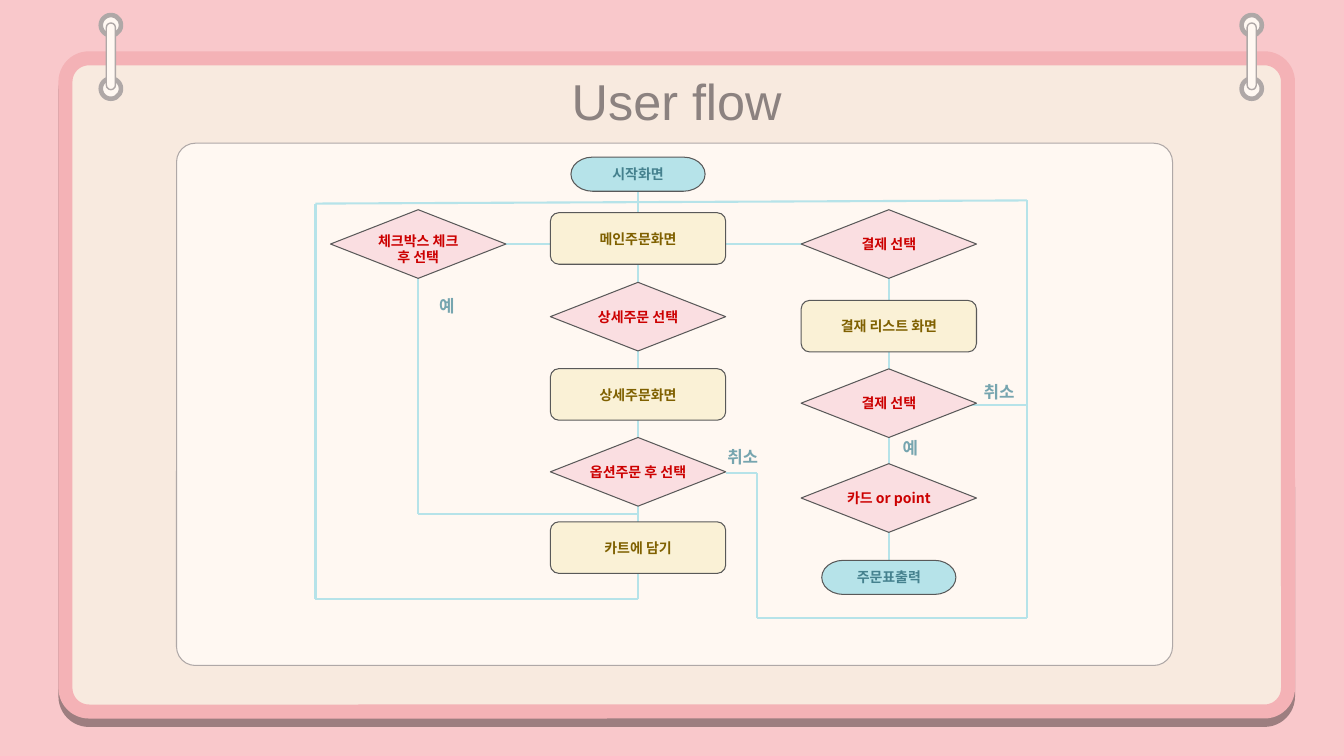
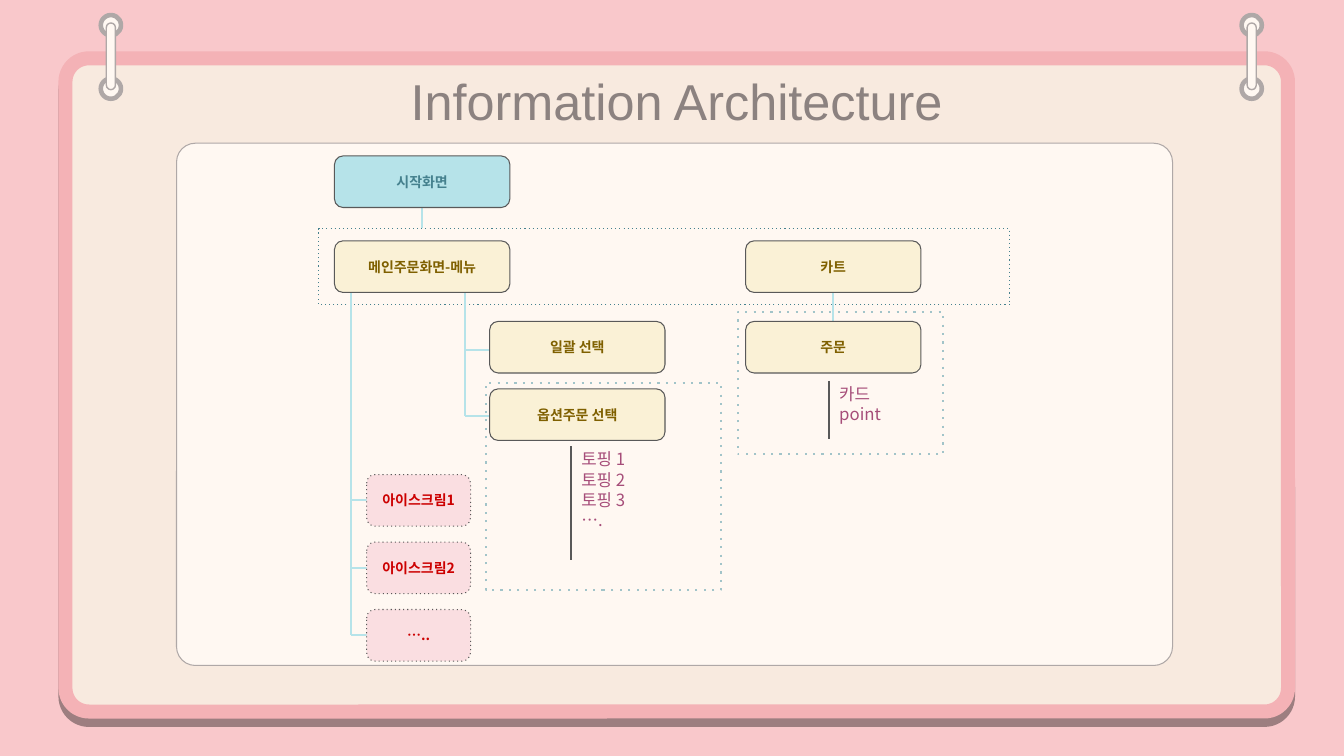
from dataclasses import dataclass
from itertools import pairwise

from lxml.etree import SubElement
from pptx import Presentation
from pptx.dml.color import RGBColor
from pptx.enum.dml import MSO_LINE
from pptx.enum.shapes import MSO_CONNECTOR, MSO_SHAPE
from pptx.enum.text import MSO_ANCHOR, PP_ALIGN
from pptx.oxml.ns import qn
from pptx.util import Cm, Pt


@dataclass(frozen=True)
class Theme:
    # Colours
    backdrop: str = "F9C8CB"
    card: str = "F8EADF"
    card_edge: str = "F4B2B6"
    panel: str = "FFF8F2"
    panel_edge: str = "AFA8A7"
    title: str = "8C8280"
    flow: str = "B6E3E9"
    outline: str = "595959"
    label: str = "76A5AF"
    note: str = "A64D79"
    zone: str = "45818E"
    subzone: str = "A2C4C9"
    # Fonts and sizes in points
    title_font: str = "Arial"
    body_font: str = "Noto Sans CJK KR"
    title_size: float = 36
    node_size: float = 10
    label_size: float = 12
    flow_width: float = 1.5
    thin: float = 0.75


T = Theme()

# Node kinds: shape, width, height (cm), fill, text colour, dotted outline
KINDS = {
    "terminal": (MSO_SHAPE.FLOWCHART_TERMINATOR, 3.38, 0.86, T.flow, T.zone, False),
    "root": (MSO_SHAPE.ROUNDED_RECTANGLE, 4.42, 1.3, T.flow, T.zone, False),
    "screen": (MSO_SHAPE.ROUNDED_RECTANGLE, 4.42, 1.3, "FAF1D6", "7F6000", False),
    "choice": (MSO_SHAPE.DIAMOND, 4.42, 1.73, "FADEE1", "CC0000", False),
    "item": (MSO_SHAPE.ROUNDED_RECTANGLE, 2.62, 1.3, "FADEE1", "CC0000", True),
}


def apply(obj, formats):
    for name, value in formats.items():
        setattr(obj, name, value)


def write(sp, text, font, size, color, bold=False, align=PP_ALIGN.CENTER, **frame):
    """Write one paragraph per line of text."""
    tf = sp.text_frame
    apply(tf, frame)
    for i, line in enumerate(text.split("\n")):
        p = tf.paragraphs[0] if i == 0 else tf.add_paragraph()
        p.alignment = align
        r = p.add_run()
        r.text = line
        apply(r.font, {"name": font, "size": Pt(size), "bold": bold})
        r.font.color.rgb = RGBColor.from_string(color)
        SubElement(r.font._element, qn("a:ea"), typeface=font)


def add_box(slide, kind, box, fill, edge, width, adj=None, dotted=False):
    sp = slide.shapes.add_shape(kind, *map(Cm, box))
    sp.shadow.inherit = False
    if fill:
        sp.fill.solid()
        sp.fill.fore_color.rgb = RGBColor.from_string(fill)
    else:
        sp.fill.background()
    sp.line.color.rgb = RGBColor.from_string(edge)
    sp.line.width = Pt(width)
    if adj is not None:
        sp.adjustments[0] = adj
    if dotted:
        sp.line.dash_style = MSO_LINE.ROUND_DOT
        sp.element.spPr.find(".//" + qn("a:prstDash")).set("val", "dot")
    return sp


def add_path(slide, *points, color=T.flow):
    """Join the points with straight lines."""
    for start, end in pairwise(points):
        line = slide.shapes.add_connector(
            MSO_CONNECTOR.STRAIGHT, *map(Cm, (*start, *end)))
        line.line.color.rgb = RGBColor.from_string(color)
        line.line.width = Pt(T.flow_width)
        SubElement(line._element.spPr, qn("a:effectLst"))


def add_node(slide, kind, x, y, text, drop=0):
    """Place a node by its centre; drop is extra space above the text."""
    shape, w, h, fill, color, dotted = KINDS[kind]
    sp = add_box(slide, shape, (x - w / 2, y - h / 2, w, h),
                 fill, T.outline, T.thin, dotted=dotted)
    write(sp, text, T.body_font, T.node_size, color, bold=True, word_wrap=False,
          vertical_anchor=MSO_ANCHOR.MIDDLE, margin_left=0, margin_right=0,
          margin_top=Cm(drop), margin_bottom=0)


def add_text(slide, box, text, color, bold=False):
    inset = Cm(0.25)
    sp = slide.shapes.add_textbox(*map(Cm, box))
    write(sp, text, T.body_font, T.label_size, color, bold, PP_ALIGN.LEFT,
          word_wrap=True, margin_left=inset, margin_right=inset,
          margin_top=inset, margin_bottom=inset)


def add_label(slide, x, y, text):
    add_text(slide, (x, y, 1.5, 1), text, T.label, bold=True)


def add_note(slide, x, y, length, text):
    """List of details beside a vertical bar."""
    add_text(slide, (x, y - 0.18, 4.27, 2.03), text, T.note)
    add_path(slide, (x, y), (x, y + length), color=T.outline)


def add_zone(slide, box, color, width):
    add_box(slide, MSO_SHAPE.RECTANGLE, box, None, color, width, dotted=True)


def add_ring_pair(slide, x):
    for y in (1.98, 0.38):
        add_box(slide, MSO_SHAPE.OVAL, (x, y, 0.51, 0.51),
                T.panel, T.panel_edge, 3.25)
    add_box(slide, MSO_SHAPE.ROUNDED_RECTANGLE, (x + 0.14, 0.58, 0.23, 1.68),
            T.panel, T.panel_edge, 1, adj=0.5)


def add_board(prs, title):
    """New slide with the hanging card, its title and the inner panel."""
    slide = prs.slides.add_slide(prs.slide_layouts[6])
    slide.background.fill.solid()
    slide.background.fill.fore_color.rgb = RGBColor.from_string(T.backdrop)
    card = add_box(slide, MSO_SHAPE.ROUNDED_RECTANGLE, (1.65, 1.47, 30.81, 16.46),
                   T.card, T.card_edge, 10, adj=0.036)
    write(card, title, T.title_font, T.title_size, T.title,
          vertical_anchor=MSO_ANCHOR.TOP)
    # Hard shadow straight below the card
    shadow = SubElement(card.element.spPr.find(qn("a:effectLst")), qn("a:outerShdw"),
                        blurRad="0", dist=str(Pt(6)), dir="5400000",
                        algn="t", rotWithShape="0")
    black = SubElement(shadow, qn("a:srgbClr"), val="000000")
    SubElement(black, qn("a:alpha"), val="36000")
    add_box(slide, MSO_SHAPE.ROUNDED_RECTANGLE, (4.45, 3.61, 25.1, 13.16),
            T.panel, T.panel_edge, T.thin, adj=0.036)
    for x in (2.54, 31.29):
        add_ring_pair(slide, x)
    return slide


def build_user_flow(prs):
    slide = add_board(prs, "User flow")
    left, mid, right = 10.54, 16.08, 22.4
    loop_left, loop_right, cancel = 7.95, 25.88, 19.08

    # Flow lines
    add_path(slide, (mid, 4.83), (mid, 15.09), (loop_left, 15.09),
             (loop_left, 5.13), (loop_right, 5.05), (loop_right, 15.57),
             (cancel, 15.57), (cancel, 11.91), (18.29, 11.91))
    add_path(slide, (left, 6.81), (left, 12.95), (mid, 12.95))
    add_path(slide, (left, 6.15), (right, 6.15), (right, 14.22))
    add_path(slide, (right, 10.21), (loop_right, 10.21))

    # Nodes, column by column
    add_node(slide, "choice", left, 6.15, "체크박스 체크\n후 선택", drop=0.25)
    for x, nodes in (
        (mid, (("terminal", 4.39, "시작화면"),
               ("screen", 6.01, "메인주문화면"),
               ("choice", 7.98, "상세주문 선택"),
               ("screen", 9.94, "상세주문화면"),
               ("choice", 11.89, "옵션주문 후 선택"),
               ("screen", 13.8, "카트에 담기"))),
        (right, (("choice", 6.15, "결제 선택"),
                 ("screen", 8.22, "결재 리스트 화면"),
                 ("choice", 10.16, "결제 선택"),
                 ("choice", 12.55, "카드 or point"),
                 ("terminal", 14.55, "주문표출력"))),
    ):
        for kind, y, text in nodes:
            add_node(slide, kind, x, y, text)

    # Branch labels
    for x, y, text in ((24.54, 9.37, "취소"), (18.08, 11.02, "취소"),
                       (10.82, 7.19, "예"), (22.5, 10.77, "예")):
        add_label(slide, x, y, text)


def build_architecture(prs):
    slide = add_board(prs, "Information Architecture")
    main, option, cart = 10.64, 14.55, 21
    top, sub, detail = 6.72, 8.75, 10.45
    items = [(12.61 + 1.7 * i, text)
             for i, text in enumerate(("아이스크림1", "아이스크림2", "….."))]

    # Dotted zones
    add_zone(slide, (8.03, 5.77, 17.42, 1.91), T.zone, T.thin)
    add_zone(slide, (12.24, 9.65, 5.94, 5.21), T.subzone, 1.5)
    add_zone(slide, (18.59, 7.87, 5.18, 3.58), T.subzone, 1.5)

    # Tree lines
    add_path(slide, (main, 4.57), (main, 5.74))
    add_path(slide, (cart, top), (cart, sub))
    for trunk, end, rows in ((11.71, 13.06, (8.81, 10.49)),
                             (8.84, 9.86, [y for y, _ in items])):
        add_path(slide, (trunk, 7.3), (trunk, rows[-1]))
        for y in rows:
            add_path(slide, (trunk, y), (end, y))

    # Screens and items
    add_node(slide, "root", main, 4.58, "시작화면")
    for x, y, text in ((main, top, "메인주문화면-메뉴"), (cart, top, "카트"),
                       (option, sub, "일괄 선택"), (cart, sub, "주문"),
                       (option, detail, "옵션주문 선택")):
        add_node(slide, "screen", x, y, text)
    for y, text in items:
        add_node(slide, "item", 10.55, y, text)

    # Details
    add_note(slide, 14.4, 11.25, 2.85, "토핑 1\n토핑 2\n토핑 3\n….")
    add_note(slide, 20.9, 9.6, 1.47, "카드\npoint")


def main():
    prs = Presentation()
    apply(prs, {"slide_width": Cm(33.87), "slide_height": Cm(19.05)})
    build_user_flow(prs)
    build_architecture(prs)
    prs.save("out.pptx")


if __name__ == "__main__":
    main()
